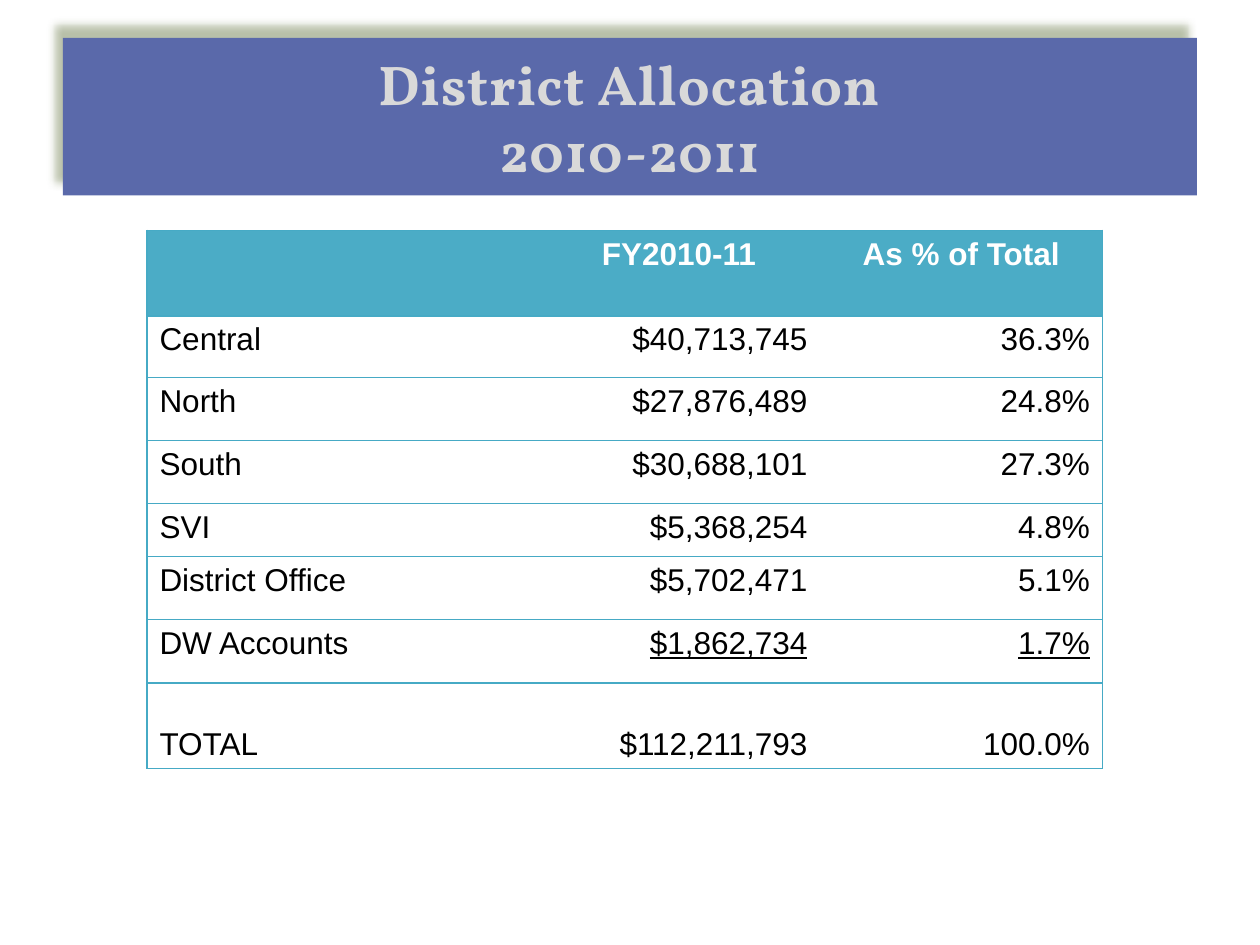
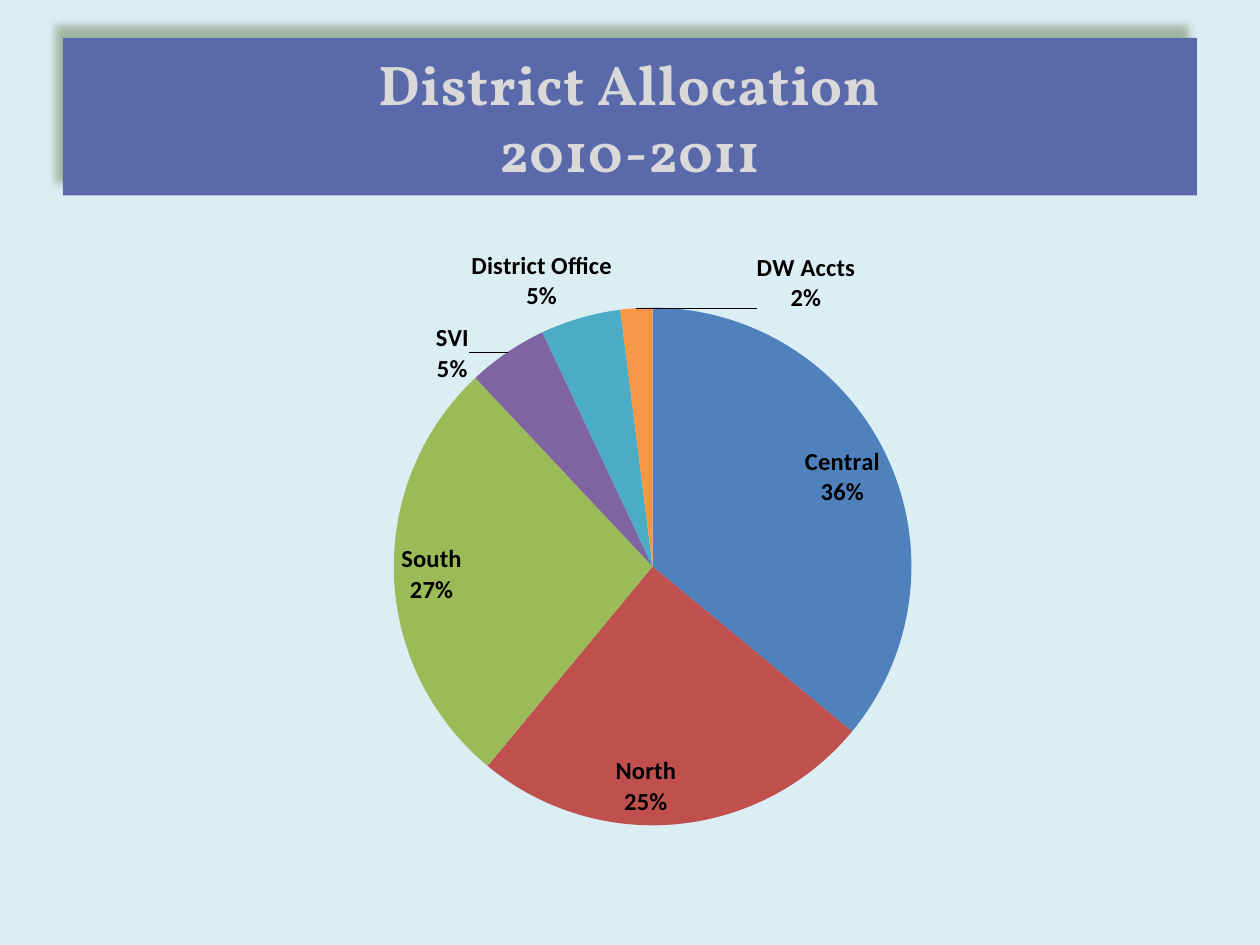
from lxml.etree import SubElement
from pptx import Presentation
from pptx.chart.data import CategoryChartData
from pptx.dml.color import RGBColor
from pptx.enum.chart import XL_CHART_TYPE as ChartType, XL_LABEL_POSITION as LabelPos
from pptx.enum.shapes import MSO_SHAPE as Shape
from pptx.enum.text import MSO_ANCHOR as Anchor, PP_ALIGN as Align
from pptx.oxml import parse_xml
from pptx.oxml.ns import nsdecls, qn
from pptx.util import Inches, Pt

WHITE = RGBColor(0xFF, 0xFF, 0xFF)
BLACK = RGBColor(0, 0, 0)
BAND = RGBColor(0x5A, 0x69, 0xAA)
BAND_SHADOW = RGBColor(0x4F, 0x62, 0x28)
TITLE_TEXT = RGBColor(0xD9, 0xD9, 0xD9)
TITLE_EDGE = RGBColor(0x10, 0x1A, 0x26)
PALE_BLUE = RGBColor(0xDB, 0xEE, 0xF4)
TEAL = RGBColor(0x4B, 0xAC, 0xC6)
RULE = RGBColor(0x46, 0xAA, 0xC5)
SLICES = [RGBColor(0x4F, 0x81, 0xBD), RGBColor(0xC0, 0x50, 0x4D), RGBColor(0x9B, 0xBB, 0x59),
          RGBColor(0x80, 0x64, 0xA2), TEAL, RGBColor(0xF7, 0x96, 0x46)]

SLIDE_W, SLIDE_H = Inches(10), Inches(7.5)
# Boxes in hundredths of the slide's size: left, top, width, height
TITLE_BOX = (5, 4, 90, 16.67)
TABLE_BOX = (11.66, 24.36, 75.84, 57)
PIE_BOX = (5, 23.33, 90, 66)

TITLE_LINES = ["District Allocation", "2010-2011"]
HEADINGS = ["", "FY2010-11", "As % of Total"]
ALLOCATIONS = [
    ("Central", "$40,713,745", "36.3%"),
    ("North", "$27,876,489", "24.8%"),
    ("South", "$30,688,101", "27.3%"),
    ("SVI", "$5,368,254", "4.8%"),
    ("District Office", "$5,702,471", "5.1%"),
    ("DW Accounts", "$1,862,734", "1.7%"),
    ("TOTAL", "$112,211,793", "100.0%"),
]
COLUMN_PARTS = [3.1, 2.24, 2.24]
ROW_PARTS = [0.68, 0.49, 0.5, 0.5, 0.42, 0.5, 0.5, 0.68]

# Pie slices: percentage, label position, label shift as shares of the chart
PIE_SHARES = [
    ("Central", 36, LabelPos.INSIDE_END, (0, -0.02)),
    ("North", 25, LabelPos.INSIDE_END, None),
    ("South", 27, LabelPos.INSIDE_END, None),
    ("SVI", 5, LabelPos.OUTSIDE_END, (-0.03, 0.06)),
    ("District Office", 5, LabelPos.OUTSIDE_END, (0.03, 0)),
    ("DW Accts", 2, LabelPos.OUTSIDE_END, (0.15, 0.02)),
]


def place(box):
    left, top, width, height = (share / 100 for share in box)
    return (int(left * SLIDE_W), int(top * SLIDE_H), int(width * SLIDE_W), int(height * SLIDE_H))


def split(total, parts):
    return [int(total * part / sum(parts)) for part in parts]


def style(run, size, color, face, bold=False):
    font = run.font
    font.size, font.name, font.bold = Pt(size), face, bold
    font.color.rgb = color


def add_slide(deck, background):
    slide = deck.slides.add_slide(deck.slide_layouts[6])
    slide.background.fill.solid()
    slide.background.fill.fore_color.rgb = background
    add_title(slide, TITLE_BOX)
    return slide


def add_title(slide, box):
    band = slide.shapes.add_shape(Shape.RECTANGLE, *place(box))
    band.fill.solid()
    band.fill.fore_color.rgb = BAND
    band.line.fill.background()

    # Soft shadow towards the upper left
    band._element.spPr.append(parse_xml(
        f'<a:effectLst {nsdecls("a")}><a:outerShdw blurRad="{Pt(5)}" dist="{Pt(9)}" '
        f'dir="{236 * 60000}" algn="ctr" rotWithShape="0"><a:srgbClr val="{BAND_SHADOW}">'
        '<a:alpha val="40000"/></a:srgbClr></a:outerShdw></a:effectLst>'))

    frame = band.text_frame
    frame.word_wrap = True
    frame.vertical_anchor = Anchor.MIDDLE
    paragraph = frame.paragraphs[0]
    paragraph.alignment = Align.CENTER
    for index, line in enumerate(TITLE_LINES):
        if index:
            paragraph.add_line_break()
        run = paragraph.add_run()
        run.text = line
        style(run, 32, TITLE_TEXT, "Vollkorn", bold=True)
        # Letter spacing and faint edge
        props = run.font._element
        props.set("spc", "50")
        props.insert(0, parse_xml(
            f'<a:ln {nsdecls("a")} w="{Pt(1.06)}"><a:solidFill><a:srgbClr val="{TITLE_EDGE}">'
            '<a:alpha val="6000"/></a:srgbClr></a:solidFill></a:ln>'))


def rule_cell(cell, first, last):
    """Rule above and below every cell, and at the outer sides of the table."""
    ink = f'<a:solidFill><a:srgbClr val="{RULE}"/></a:solidFill>'
    sides = {"lnL": first, "lnR": last, "lnT": True, "lnB": True}
    for index, (side, shown) in enumerate(sides.items()):
        cell._tc.get_or_add_tcPr().insert(index, parse_xml(
            f'<a:{side} {nsdecls("a")} w="{Pt(0.75)}">'
            f'{ink if shown else "<a:noFill/>"}</a:{side}>'))


def add_allocation_table(slide, box):
    rows = [HEADINGS, *ALLOCATIONS]
    left, top, width, height = place(box)
    table = slide.shapes.add_table(len(rows), len(HEADINGS), left, top, width, height).table
    table.horz_banding = False
    for column, column_width in zip(table.columns, split(width, COLUMN_PARTS)):
        column.width = column_width
    for row, row_height in zip(table.rows, split(height, ROW_PARTS)):
        row.height = row_height

    for r, texts in enumerate(rows):
        heading, total = r == 0, r == len(rows) - 1
        for c, text in enumerate(texts):
            cell = table.cell(r, c)
            cell.fill.solid()
            cell.fill.fore_color.rgb = TEAL if heading else WHITE
            rule_cell(cell, c == 0, c == len(texts) - 1)
            cell.vertical_anchor = Anchor.BOTTOM if total else Anchor.TOP
            if not text:
                continue
            paragraph = cell.text_frame.paragraphs[0]
            paragraph.alignment = Align.CENTER if heading else Align.RIGHT if c else Align.LEFT
            run = paragraph.add_run()
            run.text = text
            style(run, 18, WHITE if heading else BLACK, "Arial", bold=heading)
            # Figures just above the total are underlined
            run.font.underline = c > 0 and r == len(rows) - 2


def finish_label(label, shift):
    """Show category and percentage on two lines, moved by the given shift."""
    for flag in ("showVal", "showCatName", "showPercent"):
        label.find(qn(f"c:{flag}")).set("val", "0" if flag == "showVal" else "1")
    SubElement(label, qn("c:separator")).text = "\n"
    label.insert(1, parse_xml(f'<c:numFmt {nsdecls("c")} formatCode="0%" sourceLinked="0"/>'))
    if shift:
        label.insert(1, parse_xml(
            f'<c:layout {nsdecls("c")}><c:manualLayout><c:x val="{shift[0]}"/>'
            f'<c:y val="{shift[1]}"/></c:manualLayout></c:layout>'))


def add_allocation_pie(slide, box):
    data = CategoryChartData()
    data.categories = [name for name, *_ in PIE_SHARES]
    data.add_series("Series 1", [share for _, share, *_ in PIE_SHARES])
    chart = slide.shapes.add_chart(ChartType.PIE, *place(box), data).chart
    chart.has_legend = chart.has_title = False
    chart.font.name, chart.font.size = "Calibri", Pt(10)
    chart.font.color.rgb = BLACK
    plot = chart.plots[0]
    plot.vary_by_categories = True

    # Slices and their labels
    points = plot.series[0].points
    for index, (_, _, position, _) in enumerate(PIE_SHARES):
        point = points[index]
        point.format.fill.solid()
        point.format.fill.fore_color.rgb = SLICES[index]
        point.format.line.fill.background()
        label = point.data_label
        label.font.size, label.font.bold, label.font.name = Pt(14), True, "Calibri"
        label.font.color.rgb = BLACK
        label.position = position
    for label, (*_, shift) in zip(chart.element.xpath(".//c:dLbl"), PIE_SHARES):
        finish_label(label, shift)

    # Place of the pie within the chart
    area = chart.element.find(f'.//{qn("c:plotArea")}')
    for layout in area.findall(qn("c:layout")):
        area.remove(layout)
    area.insert(0, parse_xml(
        f'<c:layout {nsdecls("c")}><c:manualLayout><c:layoutTarget val="inner"/>'
        '<c:xMode val="edge"/><c:yMode val="edge"/><c:x val="0.29"/><c:y val="0.14"/>'
        '<c:w val="0.46"/><c:h val="0.83"/></c:manualLayout></c:layout>'))


def main():
    deck = Presentation()
    deck.slide_width, deck.slide_height = SLIDE_W, SLIDE_H
    add_allocation_table(add_slide(deck, WHITE), TABLE_BOX)
    add_allocation_pie(add_slide(deck, PALE_BLUE), PIE_BOX)
    deck.save("out.pptx")


if __name__ == "__main__":
    main()
